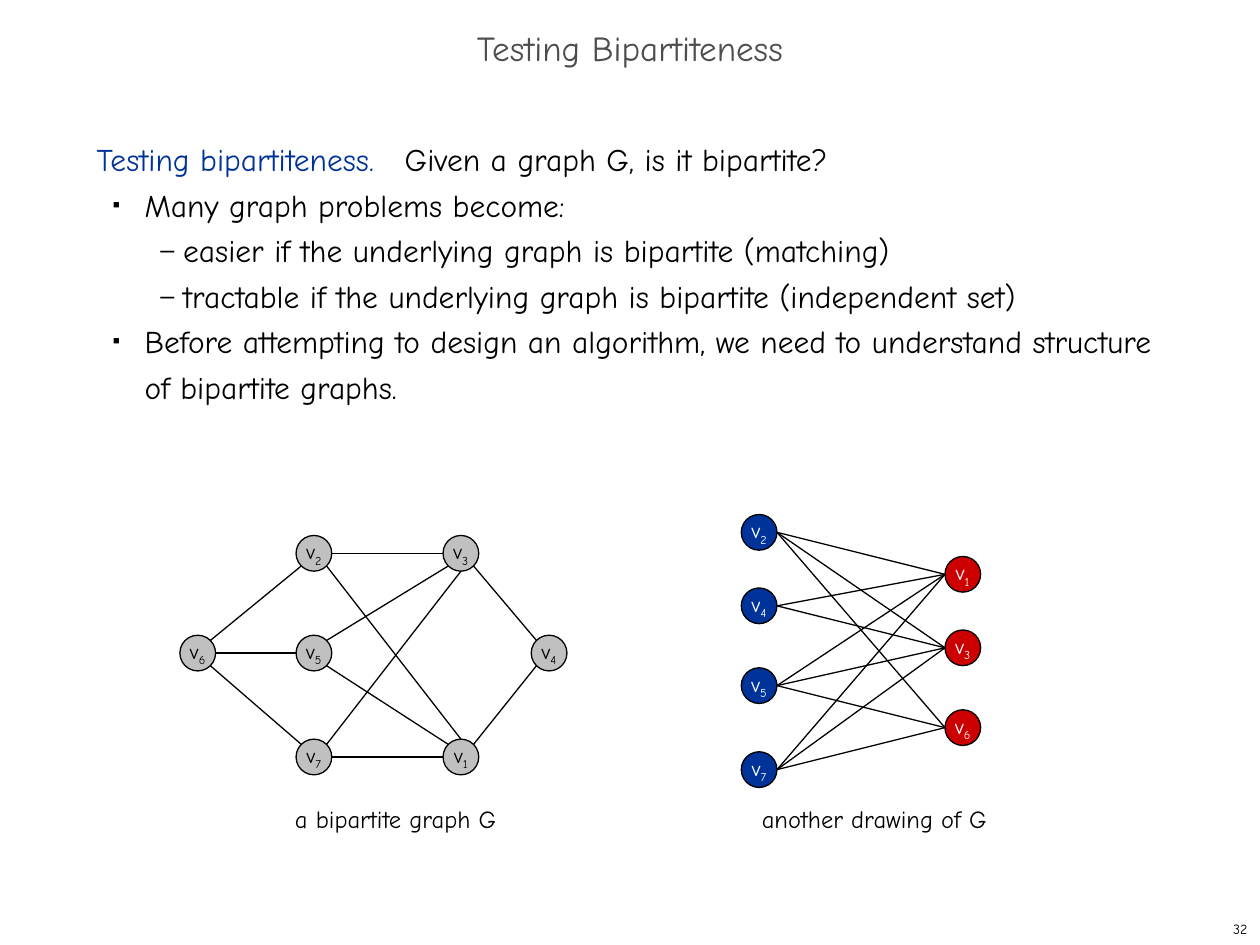
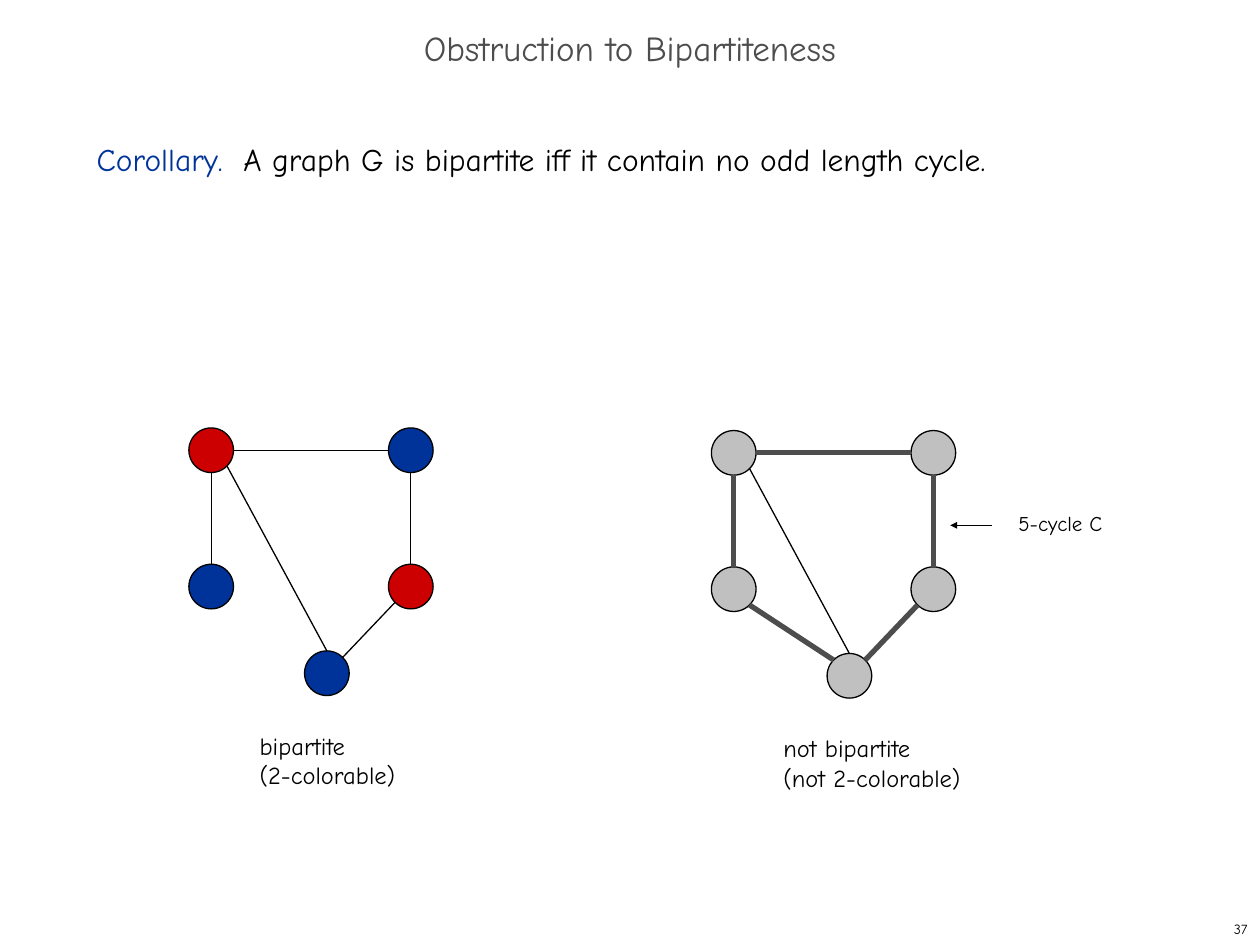
from math import sqrt

from lxml.etree import SubElement
from pptx import Presentation
from pptx.dml.color import RGBColor
from pptx.enum.shapes import MSO_CONNECTOR, MSO_SHAPE
from pptx.enum.text import MSO_ANCHOR, MSO_AUTO_SIZE, PP_ALIGN
from pptx.oxml.ns import qn
from pptx.util import Pt

# Shared style
FONT = "Comic Neue"
BLACK, WHITE, GRAY, SILVER = "000000", "FFFFFF", "4D4D4D", "C0C0C0"
BLUE, RED = "003399", "CC0000"
THIN, THICK = 0.75, 3
BULLETS = {  # level: (character, size in percent, left margin, hanging indent)
    1: ("■", 35, 27.4, 18),
    2: ("–", 80, 49.5, 13),
}

# Slide content: the lead is a term, its statement and the extra gap between them
TESTING = {
    "title": "Testing Bipartiteness",
    "number": "32",
    "lead": ("Testing bipartiteness.", "Given a graph G, is it bipartite?", 11.6),
    "bullets": [
        (1, "Many graph problems become:"),
        (2, "easier if the underlying graph is bipartite (matching)"),
        (2, "tractable if the underlying graph is bipartite (independent set)"),
        (1, "Before attempting to design an algorithm, we need to understand "
            "structure of bipartite graphs."),
    ],
    "captions": [
        ("a bipartite graph G", 14, 161.5, 456, 130, 24),
        ("another drawing of G", 14, 428.3, 456, 144, 24),
    ],
}
OBSTRUCTION = {
    "title": "Obstruction to Bipartiteness",
    "number": "37",
    "lead": ("Corollary.", "A graph G is bipartite iff it contain no odd length cycle.", 5.8),
    "bullets": [],
    "captions": [
        ("bipartite\n(2-colorable)", 14, 141.3, 414, 92, 41),
        ("not bipartite\n(not 2-colorable)", 14, 440.6, 415.5, 117, 41),
        ("5-cycle C", 12, 574.8, 288, 63, 22),
    ],
}

# Graph G: node centres by vertex number, edges as node, side, node, side
G_DIAMETER = 20.4
G_NODES = {
    1: (263.4, 432.6), 2: (179.4, 316.2), 3: (263.4, 316.2), 4: (313.8, 373.2),
    5: (179.4, 373.2), 6: (113, 373.2), 7: (179.4, 432.6),
}
G_EDGES = [
    (2, "sw", 6, "ne"), (2, "e", 3, "w"), (3, "se", 4, "nw"), (1, "ne", 4, "sw"),
    (1, "nw", 5, "se"), (1, "w", 7, "e"), (6, "se", 7, "nw"), (5, "w", 6, "e"),
    (3, "sw", 5, "ne"), (3, "s", 7, "ne"), (1, "n", 2, "se"),
]

# The same graph in two columns
BLUE_X, RED_X = 433.8, 550.2
BLUE_ROWS = {2: 304.2, 4: 346.2, 5: 391.8, 7: 439.8}
RED_ROWS = {1: 328.2, 3: 370.2, 6: 415.8}
NOT_ADJACENT = {(4, 6)}

# Five-vertex graph, drawn twice
FIVE_DIAMETER = 25.5
FIVE_NODES = {
    "top left": (120.7, 257.3), "top right": (234.75, 257.3),
    "low left": (120.7, 335.2), "low right": (234.75, 335.2),
    "bottom": (186.8, 384.7),
}
FIVE_COLORS = {"top left": RED, "top right": BLUE, "low left": BLUE,
               "low right": RED, "bottom": BLUE}
CHORD = ("bottom", "n", "top left", "se")
CLOSING_EDGE = ("low left", "se", "bottom", "nw")
OPEN_EDGES = [
    ("top left", "e", "top right", "w"), ("low right", "n", "top right", "s"),
    ("low left", "n", "top left", "s"), CHORD, ("bottom", "ne", "low right", "sw"),
]
CYCLE_SHIFT = (298.6, 1.5)
CYCLE_ARROW = ((566.7, 300.2), (543, 300.2))


def rgb(value):
    return RGBColor.from_string(value)


def add_span(para, text, size, color=BLACK):
    span = para.add_run()
    span.text = text
    span.font.name = FONT
    span.font.size = Pt(size)
    span.font.color.rgb = rgb(color)
    return span


def place(shape, left, top, width, height):
    shape.left, shape.top = Pt(left), Pt(top)
    shape.width, shape.height = Pt(width), Pt(height)


def add_label(page, text, size, left, top, width, height):
    box = page.shapes.add_textbox(Pt(left), Pt(top), Pt(width), Pt(height))
    box.text_frame.word_wrap = False
    para = box.text_frame.paragraphs[0]
    for index, line in enumerate(text.split("\n")):
        if index:
            para.add_line_break()
        add_span(para, line, size)
    return box


def set_indent(para, margin, hanging):
    properties = para._p.get_or_add_pPr()
    properties.set("marL", str(Pt(margin)))
    properties.set("indent", str(-Pt(hanging)))
    return properties


def add_lead(para, term, statement, extra_gap):
    properties = set_indent(para, 0, 0)
    SubElement(properties, qn("a:buNone"))
    add_span(para, term, 18, BLUE)
    gap = add_span(para, " ", 18, BLUE)
    gap.font._element.set("spc", str(round(extra_gap * 100)))
    add_span(para, statement, 18)


def add_bullet(para, level, text):
    character, percent, margin, hanging = BULLETS[level]
    para.level = level
    properties = set_indent(para, margin, hanging)
    color = SubElement(properties, qn("a:buClr"))
    SubElement(color, qn("a:srgbClr"), val=BLACK)
    SubElement(properties, qn("a:buSzPct"), val=str(percent * 1000))
    SubElement(properties, qn("a:buChar"), char=character)
    add_span(para, text, 18)


def add_page(deck, content):
    page = deck.slides.add_slide(deck.slide_layouts[1])

    # Page number
    number = add_label(page, content["number"], 8, 570, 522, 150, 18)
    number.text_frame.vertical_anchor = MSO_ANCHOR.MIDDLE
    number.text_frame.paragraphs[0].alignment = PP_ALIGN.RIGHT

    # Title
    title = page.shapes.title
    place(title, 0, 12, 720, 36)
    title.text_frame.auto_size = MSO_AUTO_SIZE.NONE
    title.text_frame.vertical_anchor = MSO_ANCHOR.MIDDLE
    para = title.text_frame.paragraphs[0]
    para.alignment = PP_ALIGN.CENTER
    para.line_spacing = 0.7
    add_span(para, content["title"], 20, GRAY)

    # Lead sentence and bullets
    body = page.placeholders[1]
    place(body, 48, 72.2, 618, 426)
    frame = body.text_frame
    frame.auto_size = MSO_AUTO_SIZE.NONE
    paragraphs = [frame.paragraphs[0]] + [frame.add_paragraph() for _ in content["bullets"]]
    for para in paragraphs:
        para.line_spacing = Pt(26)
        para.space_before = para.space_after = Pt(0)
    add_lead(paragraphs[0], *content["lead"])
    for para, bullet in zip(paragraphs[1:], content["bullets"]):
        add_bullet(para, *bullet)

    # Captions
    for caption in content["captions"]:
        add_label(page, *caption)
    return page


def add_node(page, center, diameter, fill, vertex=None, color=BLACK):
    left, top = (value - diameter / 2 for value in center)
    node = page.shapes.add_shape(MSO_SHAPE.OVAL, Pt(left), Pt(top), Pt(diameter), Pt(diameter))
    node.shadow.inherit = False
    node.fill.solid()
    node.fill.fore_color.rgb = rgb(fill)
    node.line.color.rgb = rgb(BLACK)
    node.line.width = Pt(THIN)
    if vertex is not None:
        node.text_frame.word_wrap = False
        node.text_frame.vertical_anchor = MSO_ANCHOR.MIDDLE
        para = node.text_frame.paragraphs[0]
        para.alignment = PP_ALIGN.CENTER
        add_span(para, "v", 12, color)
        subscript = add_span(para, str(vertex), 12, color)
        subscript.font._element.set("baseline", "-25000")


def add_line(page, start, end, width=THIN, color=BLACK, arrow=False):
    ends = [Pt(value) for value in (*start, *end)]
    line = page.shapes.add_connector(MSO_CONNECTOR.STRAIGHT, *ends)
    line.line.color.rgb = rgb(color)
    line.line.width = Pt(width)
    if arrow:
        SubElement(line.line._get_or_add_ln(), qn("a:tailEnd"),
                   type="triangle", w="sm", len="sm")
    SubElement(line._element.spPr, qn("a:effectLst"))


def rim_point(center, diameter, side):
    """Point on a node's outline in a compass direction such as "n" or "sw"."""
    across = ("e" in side) - ("w" in side)
    down = ("s" in side) - ("n" in side)
    reach = diameter / 2 / sqrt(len(side))
    return center[0] + across * reach, center[1] + down * reach


def add_edge(page, nodes, diameter, edge, width=THIN, color=BLACK):
    first, first_side, second, second_side = edge
    add_line(page, rim_point(nodes[first], diameter, first_side),
             rim_point(nodes[second], diameter, second_side), width, color)


def draw_graph_g(page):
    for vertex, center in G_NODES.items():
        add_node(page, center, G_DIAMETER, SILVER, vertex)
    for edge in G_EDGES:
        add_edge(page, G_NODES, G_DIAMETER, edge)


def draw_two_columns(page):
    nodes = {}
    for x, rows, fill in ((BLUE_X, BLUE_ROWS, BLUE), (RED_X, RED_ROWS, RED)):
        for vertex, y in rows.items():
            nodes[vertex] = (x, y)
            add_node(page, (x, y), G_DIAMETER, fill, vertex, WHITE)
    for left in BLUE_ROWS:
        for right in RED_ROWS:
            if (left, right) not in NOT_ADJACENT:
                add_edge(page, nodes, G_DIAMETER, (left, "e", right, "w"))


def draw_five(page, shift, colors, edges, width, color):
    nodes = {name: (x + shift[0], y + shift[1]) for name, (x, y) in FIVE_NODES.items()}
    for name, center in nodes.items():
        add_node(page, center, FIVE_DIAMETER, colors.get(name, SILVER))
    for edge in edges:
        style = (THIN, BLACK) if edge == CHORD else (width, color)
        add_edge(page, nodes, FIVE_DIAMETER, edge, *style)


def main():
    deck = Presentation()
    deck.slide_width, deck.slide_height = Pt(720), Pt(540)

    page = add_page(deck, TESTING)
    draw_graph_g(page)
    draw_two_columns(page)

    page = add_page(deck, OBSTRUCTION)
    draw_five(page, CYCLE_SHIFT, {}, OPEN_EDGES + [CLOSING_EDGE], THICK, GRAY)
    add_line(page, *CYCLE_ARROW, arrow=True)
    draw_five(page, (0, 0), FIVE_COLORS, OPEN_EDGES, THIN, BLACK)

    deck.save("out.pptx")


if __name__ == "__main__":
    main()
